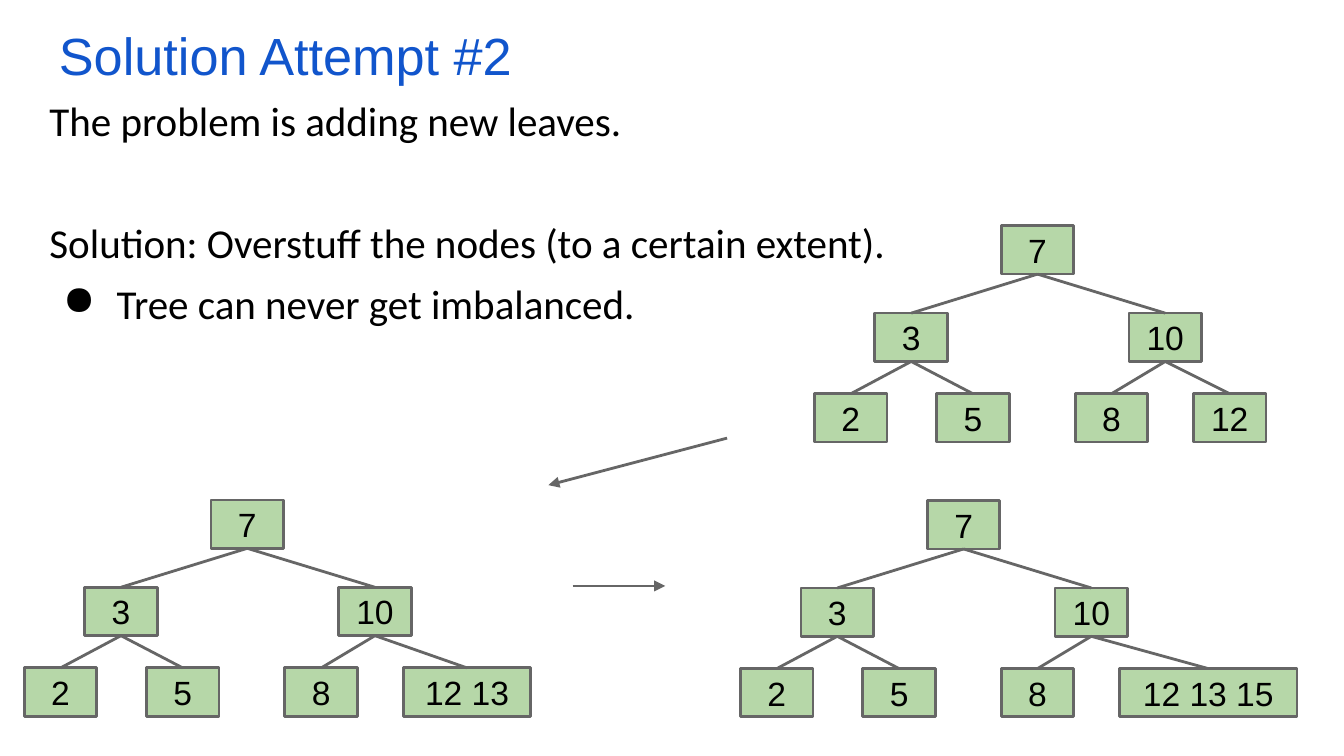
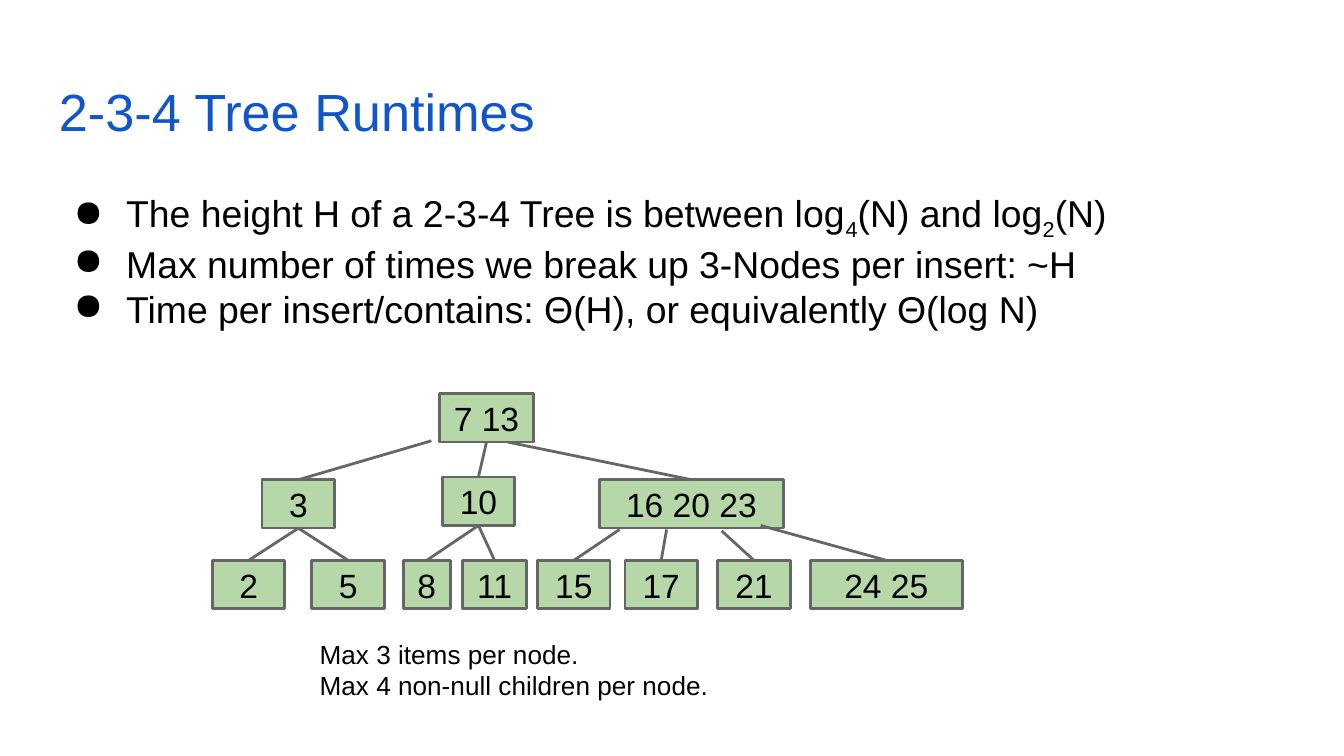
from lxml import etree
from pptx import Presentation
from pptx.dml.color import RGBColor
from pptx.enum.shapes import MSO_CONNECTOR, MSO_SHAPE
from pptx.enum.text import MSO_ANCHOR, PP_ALIGN
from pptx.oxml.ns import qn
from pptx.util import Inches, Pt

RECTANGLE = MSO_SHAPE.RECTANGLE
STRAIGHT = MSO_CONNECTOR.STRAIGHT
MIDDLE = MSO_ANCHOR.MIDDLE
CENTER = PP_ALIGN.CENTER
TOP_SIDE, BOTTOM_SIDE = 0, 2

COLORS = {"title": "1155CC", "text": "000000", "node": "B6D7A8", "line": "666666"}
COLUMNS = 100  # square grid cells across the slide
NODE_WIDTH, NODE_HEIGHT = 5.4, 3.6
WIDE_GAP = " "  # en space between keys


def color(name):
    return RGBColor.from_string(COLORS[name])


class Deck:
    """Holds the shared style and the slide being filled."""

    def __init__(self):
        self.presentation = Presentation()
        self.presentation.slide_width = Inches(10)
        self.presentation.slide_height = Inches(5.625)
        self.cell = self.presentation.slide_width / COLUMNS
        self.slide = None

    def grid(self, *cells):
        return [round(value * self.cell) for value in cells]

    def new_slide(self, title, top):
        blank = self.presentation.slide_layouts[6]
        self.slide = self.presentation.slides.add_slide(blank)
        frame = self.text_box(3.4, top, 93.2, 6.3)
        self.paragraph(frame, title, 28, ink="title")

    def set_insets(self, frame):
        frame.margin_left = frame.margin_right = Inches(0.1)
        frame.margin_top = frame.margin_bottom = Inches(0.1)

    def text_box(self, left, top, width, height):
        box = self.slide.shapes.add_textbox(*self.grid(left, top, width, height))
        frame = box.text_frame
        frame.word_wrap = True
        self.set_insets(frame)
        return frame

    def paragraph(self, frame, text, size, font="Arial", ink="text", before=0,
                  hanging=0, spacing=None):
        """Add a paragraph; text is a string or (text, is_subscript) parts."""
        paragraph = frame.paragraphs[0]
        if paragraph.runs:
            paragraph = frame.add_paragraph()
        parts = [(text, False)] if isinstance(text, str) else text
        for part, is_subscript in parts:
            run = paragraph.add_run()
            run.text = part
            if is_subscript:
                run._r.get_or_add_rPr().set("baseline", "-25000")
        if spacing:
            paragraph.line_spacing = spacing
        if before:
            paragraph.space_before = Pt(before)
        if hanging:
            self.bullet(paragraph, hanging)
        paragraph.font.size = Pt(size)
        paragraph.font.name = font
        paragraph.font.color.rgb = color(ink)
        return paragraph

    def bullet(self, paragraph, hanging):
        properties = paragraph._p.get_or_add_pPr()
        properties.set("marL", str(Inches(0.5)))
        properties.set("indent", str(-Inches(hanging)))
        bullet_color = etree.SubElement(properties, qn("a:buClr"))
        etree.SubElement(bullet_color, qn("a:srgbClr")).set("val", COLORS["text"])
        etree.SubElement(properties, qn("a:buChar")).set("char", "●")

    def node(self, keys, left, top, width=NODE_WIDTH):
        place = self.grid(left, top, width, NODE_HEIGHT)
        shape = self.slide.shapes.add_shape(RECTANGLE, *place)
        shape.shadow.inherit = False
        shape.fill.solid()
        shape.fill.fore_color.rgb = color("node")
        shape.line.color.rgb = color("line")
        shape.line.width = Pt(1.5)
        frame = shape.text_frame
        self.set_insets(frame)
        frame.word_wrap = False
        frame.vertical_anchor = MIDDLE
        self.paragraph(frame, keys, 18).alignment = CENTER
        return shape

    def line(self, start, end):
        connector = self.slide.shapes.add_connector(
            STRAIGHT, *self.grid(*start, *end))
        connector.line.color.rgb = color("line")
        connector.line.width = Pt(1.5)
        etree.SubElement(connector._element.spPr, qn("a:effectLst"))
        return connector

    def arrow(self, start, end):
        outline = self.line(start, end).line._get_or_add_ln()
        etree.SubElement(outline, qn("a:tailEnd")).set("type", "triangle")

    def branch(self, parent, child, start=None):
        """Join parent to child; start replaces the middle of the parent's base."""
        connector = self.line(start or (0, 0), (0, 0))
        if start is None:
            connector.begin_connect(parent, BOTTOM_SIDE)
        connector.end_connect(child, TOP_SIDE)

    def binary_tree(self, left, top, last_keys, last_width=NODE_WIDTH):
        middle, bottom = top + 6.5, top + 12.5
        root = self.node("7", left + 13.9, top)
        three = self.node("3", left + 4.5, middle)
        ten = self.node("10", left + 23.4, middle)
        two = self.node("2", left, bottom)
        five = self.node("5", left + 9.1, bottom)
        eight = self.node("8", left + 19.4, bottom)
        last = self.node(last_keys, left + 28.2, bottom, last_width)
        for parent, children in ((root, (three, ten)), (three, (two, five)),
                                 (ten, (eight, last))):
            for child in children:
                self.branch(parent, child)


def overstuffing_slide(deck):
    deck.new_slide("Solution Attempt #2", 0.7)
    frame = deck.text_box(2.7, 6.1, 97.3, 23.8)
    for text, before, hanging in (
            ("The problem is adding new leaves.", 0, 0),
            ("Solution: Overstuff the nodes (to a certain extent).", 39, 0),
            ("Tree can never get imbalanced.", 6, 0.4)):
        deck.paragraph(frame, text, 22, "Calibri", before=before, hanging=hanging)

    # The same tree as its last leaf grows
    deck.binary_tree(60.6, 16.8, "12")
    deck.binary_tree(1.8, 37.2, WIDE_GAP.join(("12", "13")), 9.5)
    deck.binary_tree(55.1, 37.25, WIDE_GAP.join(("12", "13", "15")), 13.2)
    deck.arrow((54.1, 32.6), (40.8, 36.1))
    deck.arrow((42.6, 43.6), (49.5, 43.6))


def runtimes_slide(deck):
    deck.new_slide("2-3-4 Tree Runtimes", 4.9)
    frame = deck.text_box(3.4, 12.6, 93.2, 13.3)
    height = (("The height H of a 2-3-4 Tree is between log", False), ("4", True),
              ("(N) and log", False), ("2", True), ("(N)", False))
    for text, spacing in (
            (height, 1.15),
            ("Max number of times we break up 3-Nodes per insert: ~H", None),
            ("Time per insert/contains: Θ(H), or equivalently Θ(log N)", None)):
        deck.paragraph(frame, text, 20, hanging=0.39, spacing=spacing)

    note = deck.text_box(22.8, 46.5, 31.4, 9.7)
    for text in ("Max 3 items per node.", "Max 4 non-null children per node."):
        deck.paragraph(note, text, 14)

    # Root and inner nodes
    root = deck.node("7 13", 32.7, 29.3, 7)
    three = deck.node("3", 19.5, 35.7)
    ten = deck.node("10", 32.9, 35.5)
    sixteen = deck.node("16 20 23", 44.6, 35.7, 13.7)
    deck.branch(root, three, (32.1, 32.8))
    deck.branch(root, ten)
    deck.branch(root, sixteen, (37.8, 32.9))

    # Leaves: parent, keys, left, width, branch start
    for parent, keys, left, width, start in (
            (three, "2", 15.8, NODE_WIDTH, None),
            (three, "5", 23.2, NODE_WIDTH, None),
            (ten, "8", 30, 3.5, None),
            (ten, "11", 34.4, 4.8, None),
            (sixteen, "15", 40, NODE_WIDTH, (46.1, 39.4)),
            (sixteen, "17", 46.5, NODE_WIDTH, (49.6, 39.4)),
            (sixteen, "21", 53.4, NODE_WIDTH, (53.7, 39.5)),
            (sixteen, "24 25", 60.3, 11.3, (56.6, 39.1))):
        leaf = deck.node(keys, left, 41.7, width)
        deck.branch(parent, leaf, start)


def main():
    deck = Deck()
    overstuffing_slide(deck)
    runtimes_slide(deck)
    deck.presentation.save("out.pptx")


if __name__ == "__main__":
    main()
